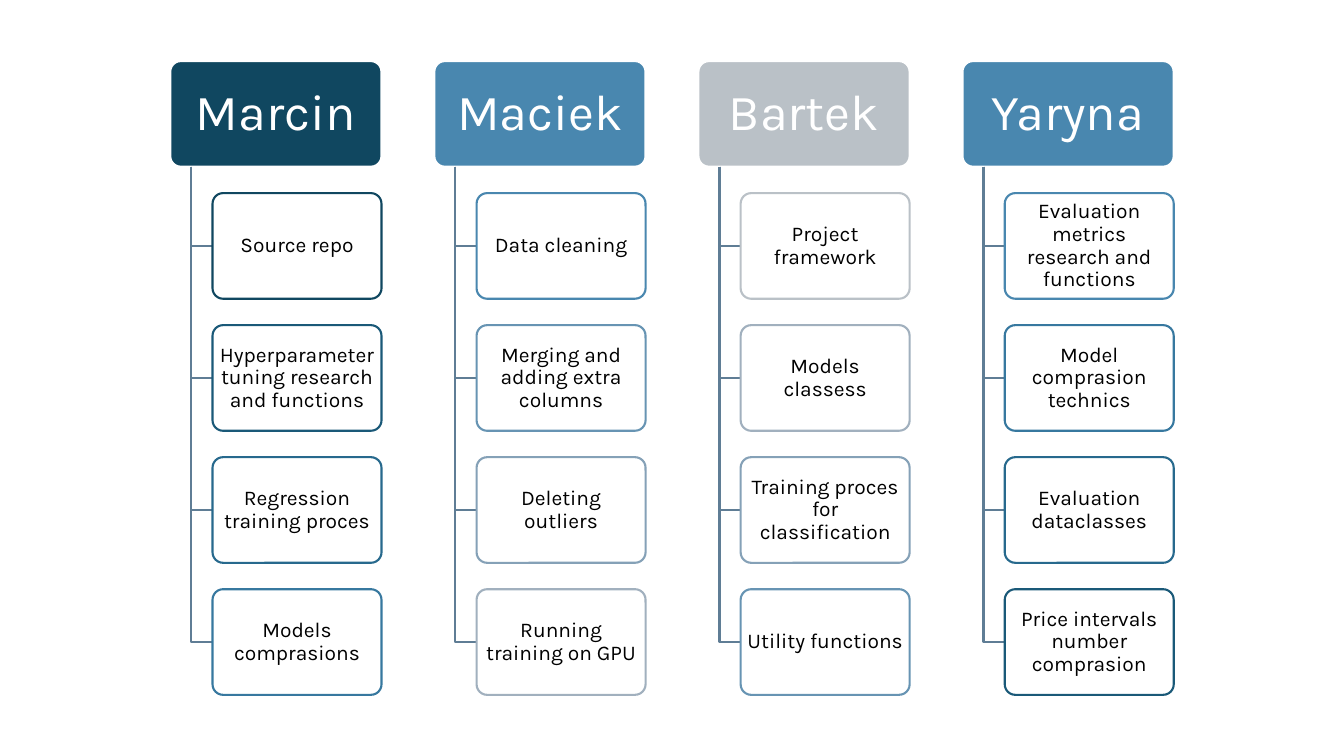
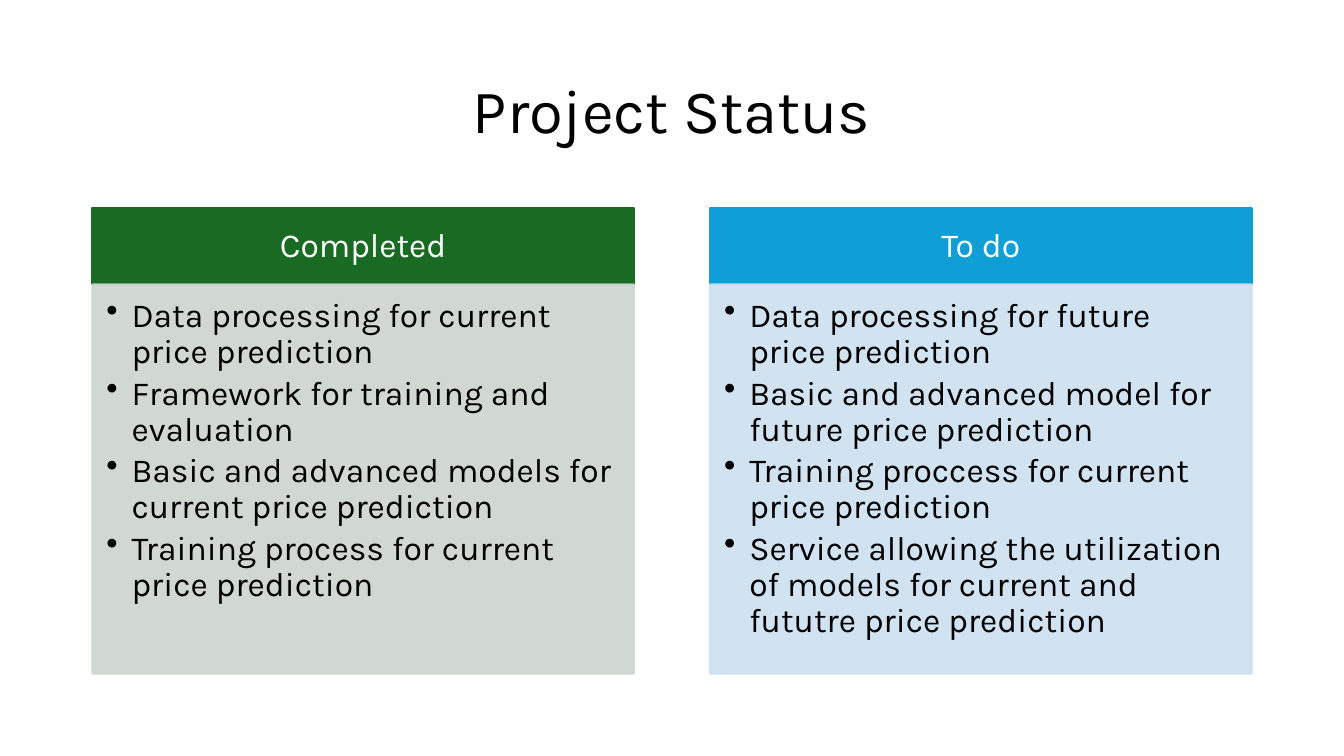
from dataclasses import dataclass

import pptx
import pptx.dml.color
import pptx.enum.shapes
import pptx.enum.text
import pptx.oxml.ns
import pptx.util
from lxml import etree

Pt = pptx.util.Pt
SHAPES = pptx.enum.shapes.MSO_SHAPE
ALIGN = pptx.enum.text.PP_ALIGN
ANCHOR = pptx.enum.text.MSO_ANCHOR

SLIDE_WIDTH, SLIDE_HEIGHT = 960, 540


@dataclass(frozen=True)
class Theme:
    font: str = "Karla"
    text: str = "000000"
    white: str = "FFFFFF"
    branch: str = "5F7D95"
    done: str = "196B24"
    done_tint: str = "CCD4CD"
    todo: str = "0F9ED5"
    todo_tint: str = "CCDFEF"
    ramp: tuple = ("104760", "1A5978", "27698D", "37789F", "4987AF",
                   "6794B3", "85A1B7", "A1B0BE", "BAC1C7")
    title_size: float = 44
    name_size: float = 36
    body_size: float = 24
    task_size: float = 15
    line_width: float = 1.5
    opacity: int = 90
    line_spacing: float = 0.9


class Builder:
    """Holds the theme, the deck and the slide being filled."""

    def __init__(self, theme):
        self.theme = theme
        self.deck = pptx.Presentation()
        self.deck.slide_width = Pt(SLIDE_WIDTH)
        self.deck.slide_height = Pt(SLIDE_HEIGHT)
        self.page = None

    def add_page(self, layout_name):
        layout = self.deck.slide_layouts.get_by_name(layout_name)
        self.page = self.deck.slides.add_slide(layout)

    def title(self, text, left, top, width, height):
        box = self.page.shapes.title
        box.left, box.top = Pt(left), Pt(top)
        box.width, box.height = Pt(width), Pt(height)
        box.text_frame.auto_size = pptx.enum.text.MSO_AUTO_SIZE.NONE
        self.set_text(box, [text], self.theme.title_size, self.theme.text)

    def box(self, kind, left, top, width, height, fill, line, opacity=100):
        box = self.page.shapes.add_shape(
            kind, Pt(left), Pt(top), Pt(width), Pt(height))
        box.shadow.inherit = False
        self.paint(box.fill, fill, opacity)
        self.paint(box.line.fill, line, opacity)
        box.line.width = Pt(self.theme.line_width)
        return box

    def card(self, text, left, top, width, height, fill, line, size, color, insets):
        """Rounded box with one centred text."""
        box = self.box(SHAPES.ROUNDED_RECTANGLE, left, top, width, height, fill, line)
        box.adjustments[0] = 0.1
        self.set_text(box, [text], size, color, insets)

    def panel(self, heading, items, left, top, width, heading_height, body_height,
              color, tint):
        """Heading bar above a tinted bullet list."""
        theme = self.theme
        bar = self.box(SHAPES.RECTANGLE, left, top, width, heading_height, color, color)
        self.set_text(bar, [heading], theme.body_size, theme.white, (13.5, 8, 13.5, 8))
        body = self.box(SHAPES.RECTANGLE, left, top + heading_height, width,
                        body_height, tint, tint, theme.opacity)
        self.set_text(body, items, theme.body_size, theme.text, (10, 10, 13.5, 15),
                      bullets=True)

    def elbow(self, left, top, right, bottom):
        """Line going down from the top left, then right."""
        outline = self.page.shapes.build_freeform(Pt(left), Pt(top))
        outline.add_line_segments(
            [(Pt(left), Pt(bottom)), (Pt(right), Pt(bottom))], close=False)
        branch = outline.convert_to_shape()
        branch.shadow.inherit = False
        branch.fill.background()
        self.paint(branch.line.fill, self.theme.branch)
        branch.line.width = Pt(self.theme.line_width)

    def set_text(self, box, texts, size, color, insets=(7.2, 3.6, 7.2, 3.6),
                 bullets=False):
        frame = box.text_frame
        frame.word_wrap = True
        frame.vertical_anchor = ANCHOR.TOP if bullets else ANCHOR.MIDDLE
        (frame.margin_left, frame.margin_top,
         frame.margin_right, frame.margin_bottom) = map(Pt, insets)
        frame.text = "\n".join(texts)
        for para in frame.paragraphs:
            para.alignment = ALIGN.LEFT if bullets else ALIGN.CENTER
            para.line_spacing = self.theme.line_spacing
            if bullets:
                para.space_after = Pt(size * 0.15)
                self.bullet(para)
            for span in para.runs:
                span.font.name = self.theme.font
                span.font.size = Pt(size)
                span.font.color.rgb = pptx.dml.color.RGBColor.from_string(color)

    @staticmethod
    def bullet(para):
        properties = para._p.get_or_add_pPr()
        properties.set("marL", str(Pt(18)))
        properties.set("indent", str(Pt(-18)))
        etree.SubElement(properties, pptx.oxml.ns.qn("a:buChar"), char="•")

    @staticmethod
    def paint(fill, color, opacity=100):
        fill.solid()
        fill.fore_color.rgb = pptx.dml.color.RGBColor.from_string(color)
        if opacity < 100:
            node = fill._xPr.find(".//" + pptx.oxml.ns.qn("a:srgbClr"))
            etree.SubElement(node, pptx.oxml.ns.qn("a:alpha"), val=str(opacity * 1000))


def team_page(builder):
    team = {
        "Marcin": ("Source repo", "Hyperparameter tuning research and functions",
                   "Regression training proces", "Models comprasions"),
        "Maciek": ("Data cleaning", "Merging and adding extra columns",
                   "Deleting outliers", "Running training on GPU"),
        "Bartek": ("Project framework", "Models classess",
                   "Training proces for classification", "Utility functions"),
        "Yaryna": ("Evaluation metrics research and functions",
                   "Model comprasion technics", "Evaluation dataclasses",
                   "Price intervals number comprasion"),
    }
    theme = builder.theme
    width, height = 150.9, 75.45
    column_step, row_step = width * 1.25, height * 1.25
    left = (SLIDE_WIDTH - width - 3 * column_step) / 2
    top = (SLIDE_HEIGHT - height - 4 * row_step) / 2
    shades = theme.ramp + theme.ramp[-2:0:-1]

    builder.add_page("Blank")
    for column, (name, tasks) in enumerate(team.items()):
        x = left + column * column_step
        column_shades = shades[4 * column:4 * column + 4]
        builder.card(name, x, top, width, height, column_shades[0], theme.white,
                     theme.name_size, theme.white, (5.4, 3.6, 5.4, 3.6))
        task_left = x + width * 0.2
        for row, (task, shade) in enumerate(zip(tasks, column_shades), start=1):
            y = top + row * row_step
            builder.elbow(x + width * 0.1, top + height, task_left, y + height / 2)
            builder.card(task, task_left, y, width * 0.8, height, theme.white, shade,
                         theme.task_size, theme.text, (2.25, 1.5, 2.25, 1.5))


def status_page(builder):
    theme = builder.theme
    panels = (
        ("Completed", theme.done, theme.done_tint, (
            "Data processing for current price prediction",
            "Framework for training and evaluation",
            "Basic and advanced models for current price prediction",
            "Training process for current price prediction")),
        ("To do", theme.todo, theme.todo_tint, (
            "Data processing for future price prediction",
            "Basic and advanced model for future price prediction",
            "Training proccess for current price prediction",
            "Service allowing the utilization of models for current and "
            "fututre price prediction")),
    )
    margin, panel_width = 66, 386.8
    content_width = SLIDE_WIDTH - 2 * margin
    builder.add_page("Title Only")
    builder.title("Project Status", margin, 28.75, content_width, 104.4)
    for index, (heading, color, tint, items) in enumerate(panels):
        left = margin + index * (content_width - panel_width)
        builder.panel(heading, items, left, 148.8, panel_width, 54.4, 278, color, tint)


def main():
    builder = Builder(Theme())
    team_page(builder)
    status_page(builder)
    builder.deck.save("out.pptx")


if __name__ == "__main__":
    main()
